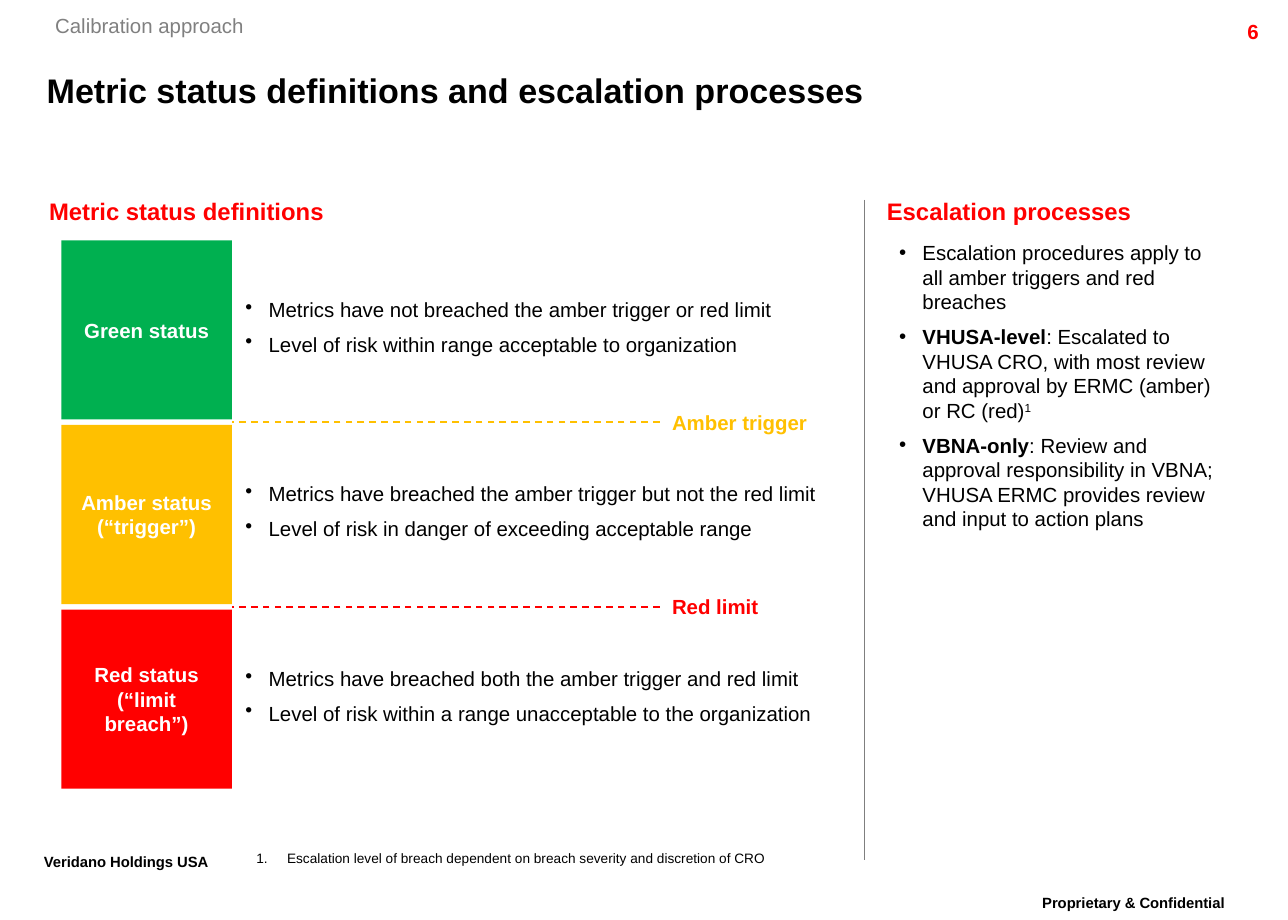
from lxml import etree
from pptx import Presentation
from pptx.dml.color import RGBColor
from pptx.enum import dml, shapes, text
from pptx.oxml.ns import qn
from pptx.util import Inches, Pt

COLORS = {"black": "000000", "white": "FFFFFF", "red": "FF0000", "amber": "FFC000",
          "green": "00B050", "gray": "808080", "rule": "7F7F7F"}
LEFT, CENTER, RIGHT = text.PP_ALIGN.LEFT, text.PP_ALIGN.CENTER, text.PP_ALIGN.RIGHT


def write(sp, paragraphs, size=12, color="black", bold=False, align=LEFT, inset=True,
          anchor=text.MSO_ANCHOR.TOP, bullet=None, indent=0.19, gap=0, spacing=1.0):
    """Fill a shape; each paragraph is a list of (text, style), style "", "bold" or "super"."""
    tf = sp.text_frame
    tf.word_wrap, tf.auto_size = True, text.MSO_AUTO_SIZE.NONE
    tf.vertical_anchor = anchor
    tf.margin_left = tf.margin_right = Inches(0.1 if inset else 0)
    tf.margin_top = tf.margin_bottom = Inches(0.05 if inset else 0)
    for i, runs in enumerate(paragraphs):
        p = tf.add_paragraph() if i else tf.paragraphs[0]
        p.alignment, p.line_spacing = align, spacing
        p.space_before = Pt(gap if i else 0)
        if bullet:
            pPr = p._p.get_or_add_pPr()
            pPr.set("marL", str(Inches(indent)))
            pPr.set("indent", str(-Inches(indent)))
            if bullet == "1.":
                etree.SubElement(pPr, qn("a:buAutoNum"), type="arabicPeriod")
            else:
                etree.SubElement(pPr, qn("a:buChar"), char=bullet)
        for words, style in runs:
            r = p.add_run()
            r.text = words
            r.font.name, r.font.size = "Arial", Pt(size)
            r.font.bold = bold or style == "bold"
            r.font.color.rgb = RGBColor.from_string(COLORS[color])
            if style == "super":
                r._r.get_or_add_rPr().set("baseline", "30000")


def add_line(x1, y1, x2, y2, color, width, dash=None):
    line = s.shapes.add_connector(shapes.MSO_CONNECTOR.STRAIGHT,
                                  Inches(x1), Inches(y1), Inches(x2), Inches(y2))
    line.line.color.rgb = RGBColor.from_string(COLORS[color])
    line.line.width = Pt(width)
    if dash:
        line.line.dash_style = dash
    etree.SubElement(line._element.spPr, qn("a:effectLst"))


prs = Presentation()
prs.slide_width, prs.slide_height = Inches(10.5), Inches(7.5)
s = prs.slides.add_slide(prs.slide_layouts[1])

# Title and escalation list
title, escalation = s.shapes.title, s.placeholders[1]
title.left, title.top, title.width, title.height = map(Inches, (0.38, 0.49, 9.48, 0.48))
write(title, [[("Metric status definitions and escalation processes", "")]], size=20,
      bold=True, inset=False, anchor=text.MSO_ANCHOR.MIDDLE)
escalation.left, escalation.top = Inches(7.33), Inches(1.96)
escalation.width, escalation.height = Inches(2.67), Inches(2.4)
write(escalation, [
    [("Escalation procedures apply to all amber triggers and red breaches", "")],
    [("VHUSA-level", "bold"),
     (": Escalated to VHUSA CRO, with most review and approval by ERMC (amber) or RC (red)", ""),
     ("1", "super")],
    [("VBNA-only", "bold"),
     (": Review and approval responsibility in VBNA; "
      "VHUSA ERMC provides review and input to action plans", "")],
], inset=False, bullet="•", gap=6)

# Headings, footers and other single-line text
heading = dict(size=14, color="red", bold=True, inset=False)
footer = dict(size=15, bold=True, spacing=0.86)
labels = [
    ((0.4, 1.6, 4.5, 0.24), "Metric status definitions", "", heading),
    ((7.23, 1.6, 2.67, 0.24), "Escalation processes", "", heading),
    ((0.45, 0.11, 2, 0.2), "Calibration approach", "", dict(color="gray", inset=False)),
    ((9.36, 0.11, 1, 0.24), "6", "", dict(color="red", bold=True, align=RIGHT)),
    ((0.26, 6.91, 1.8, 0.35), "Veridano Holdings USA", "super", footer),
    ((8.15, 7.25, 2.18, 0.35), "Proprietary & Confidential", "super",
     dict(footer, align=CENTER)),
    ((2.09, 6.93, 4.9, 0.13),
     "Escalation level of breach dependent on breach severity and discretion of CRO", "",
     dict(size=8, inset=False, bullet="1.", indent=0.25)),
]
for box, words, style, look in labels:
    write(s.shapes.add_textbox(*map(Inches, box)), [[(words, style)]], **look)

# Status rows, each with the threshold that separates it from the next
statuses = [
    ("green", ["Green status"],
     ["Metrics have not breached the amber trigger or red limit",
      "Level of risk within range acceptable to organization"], ("Amber trigger", "amber")),
    ("amber", ["Amber status", "(“trigger”)"],
     ["Metrics have breached the amber trigger but not the red limit",
      "Level of risk in danger of exceeding acceptable range"], ("Red limit", "red")),
    ("red", ["Red status", "(“limit breach”)"],
     ["Metrics have breached both the amber trigger and red limit",
      "Level of risk within a range unacceptable to the organization"], None),
]
TOP, PITCH, BLOCK_H = 1.96, 1.505, 1.46
for i, (color, name, meaning, threshold) in enumerate(statuses):
    y = TOP + i * PITCH
    block = s.shapes.add_shape(shapes.MSO_SHAPE.RECTANGLE,
                               Inches(0.5), Inches(y), Inches(1.39), Inches(BLOCK_H))
    block.shadow.inherit = False
    block.fill.solid()
    block.fill.fore_color.rgb = RGBColor.from_string(COLORS[color])
    block.line.fill.background()
    write(block, [[(words, "")] for words in name], color="white", bold=True,
          align=CENTER, anchor=text.MSO_ANCHOR.MIDDLE)
    box = s.shapes.add_textbox(Inches(2), Inches(y + 0.46), Inches(4.89), Inches(0.49))
    write(box, [[(words, "")] for words in meaning], inset=False, bullet="•", gap=6)
    if threshold:
        words, line_color = threshold
        line_y = y + (BLOCK_H + PITCH) / 2
        add_line(5.38, line_y, 1.89, line_y, line_color, 1, dml.MSO_LINE.DASH)
        box = s.shapes.add_textbox(Inches(5.38), Inches(line_y - 0.15), Inches(1.39), Inches(0.3))
        write(box, [[(words, "")]], color=line_color, bold=True)

add_line(7.05, 1.63, 7.05, 7.01, "rule", 0.75)

prs.save("out.pptx")
